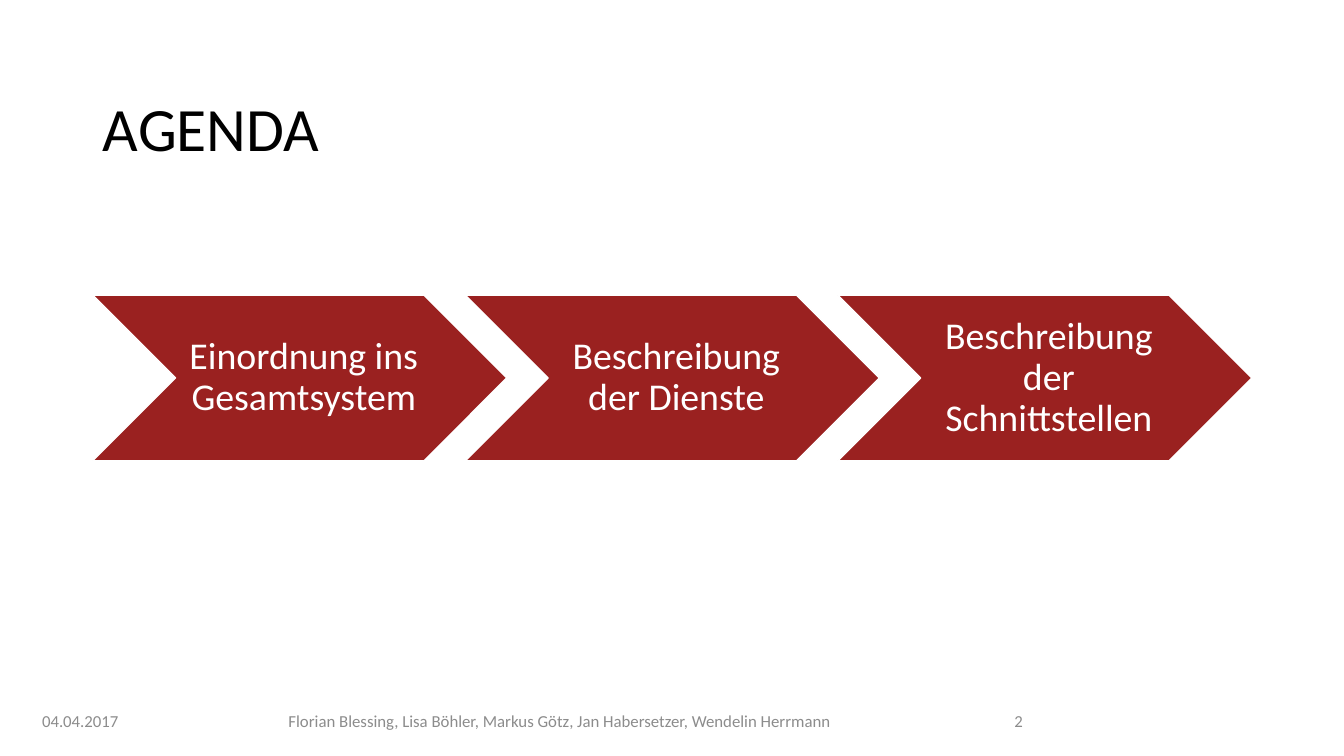
from pptx import Presentation
from pptx.dml.color import RGBColor
from pptx.enum.shapes import MSO_SHAPE
from pptx.enum.text import MSO_ANCHOR, MSO_AUTO_SIZE, PP_ALIGN
from pptx.util import Cm, Pt

CHEVRON = MSO_SHAPE.CHEVRON
MIDDLE = MSO_ANCHOR.MIDDLE
NO_AUTOFIT = MSO_AUTO_SIZE.NONE
LEFT, CENTER, RIGHT = PP_ALIGN.LEFT, PP_ALIGN.CENTER, PP_ALIGN.RIGHT

FONT = "Calibri"
COLORS = {"title": "000000", "chevron": "9A2120", "white": "FFFFFF", "footer": "8C8C8C"}

TITLE = "AGENDA"
STEPS = [
    "Einordnung ins Gesamtsystem",
    "Beschreibung der Dienste",
    "Beschreibung der Schnittstellen",
]
# text, left, width, alignment
FOOTERS = [
    ("04.04.2017", 0.81, 3.05, LEFT),
    ("Florian Blessing, Lisa Böhler, Markus Götz, Jan Habersetzer, Wendelin Herrmann",
     5.59, 17.04, CENTER),
    ("2", 24.38, 1.65, RIGHT),
]

MARGIN, CONTENT_WIDTH = 2.34, 29.21
TITLE_TOP, TITLE_HEIGHT = 1.93, 2.77
CHEVRON_TOP, CHEVRON_HEIGHT = 7.44, 4.17
OVERLAP = 0.1  # share of a chevron's width that the next one covers
FOOTER_TOP, FOOTER_HEIGHT = 17.65, 1.02


def color(name):
    """Return the named colour."""
    return RGBColor.from_string(COLORS[name])


def place(shape, left, top, width, height):
    """Move and size a shape, in centimetres."""
    shape.left, shape.top = Cm(left), Cm(top)
    shape.width, shape.height = Cm(width), Cm(height)


def write(shape, text, size, color_name, alignment=LEFT, line_spacing=1.0):
    """Put formatted, vertically centred text into a shape."""
    frame = shape.text_frame
    frame.text = text
    frame.word_wrap = True
    frame.auto_size = NO_AUTOFIT
    frame.vertical_anchor = MIDDLE
    paragraph = frame.paragraphs[0]
    paragraph.alignment = alignment
    paragraph.line_spacing = line_spacing
    font = paragraph.runs[0].font
    font.name, font.size = FONT, Pt(size)
    font.color.rgb = color(color_name)


def add_step(slide, text, left, width):
    """Add one agenda chevron."""
    chevron = slide.shapes.add_shape(
        CHEVRON, Cm(left), Cm(CHEVRON_TOP), Cm(width), Cm(CHEVRON_HEIGHT))
    chevron.shadow.inherit = False
    chevron.fill.solid()
    chevron.fill.fore_color.rgb = color("chevron")
    chevron.line.color.rgb = color("white")
    chevron.line.width = Pt(1)
    write(chevron, text, 27, "white", alignment=CENTER, line_spacing=0.9)
    frame = chevron.text_frame
    frame.margin_left = Cm(0.3)
    frame.margin_right = frame.margin_top = frame.margin_bottom = Cm(0.1)


def build():
    """Build and save the agenda slide."""
    presentation = Presentation()
    presentation.slide_width, presentation.slide_height = Cm(33.87), Cm(19.05)
    slide = presentation.slides.add_slide(presentation.slide_layouts[5])

    title = slide.shapes.title
    place(title, MARGIN, TITLE_TOP, CONTENT_WIDTH, TITLE_HEIGHT)
    write(title, TITLE, 44, "title", line_spacing=0.9)

    count = len(STEPS)
    width = CONTENT_WIDTH / (count - (count - 1) * OVERLAP)
    for index, step in enumerate(STEPS):
        add_step(slide, step, MARGIN + index * width * (1 - OVERLAP), width)

    for text, left, footer_width, alignment in FOOTERS:
        box = slide.shapes.add_textbox(0, 0, 0, 0)
        place(box, left, FOOTER_TOP, footer_width, FOOTER_HEIGHT)
        write(box, text, 12, "footer", alignment=alignment)

    presentation.save("out.pptx")


build()
